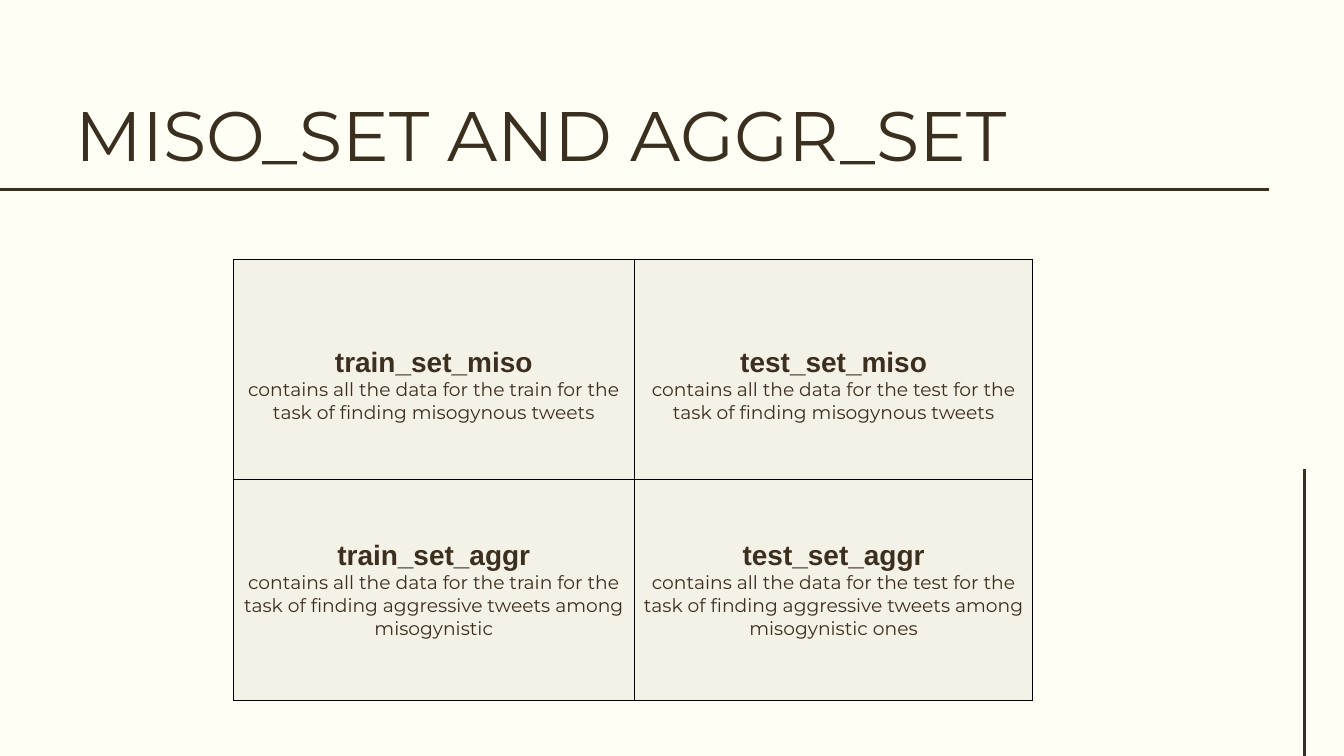
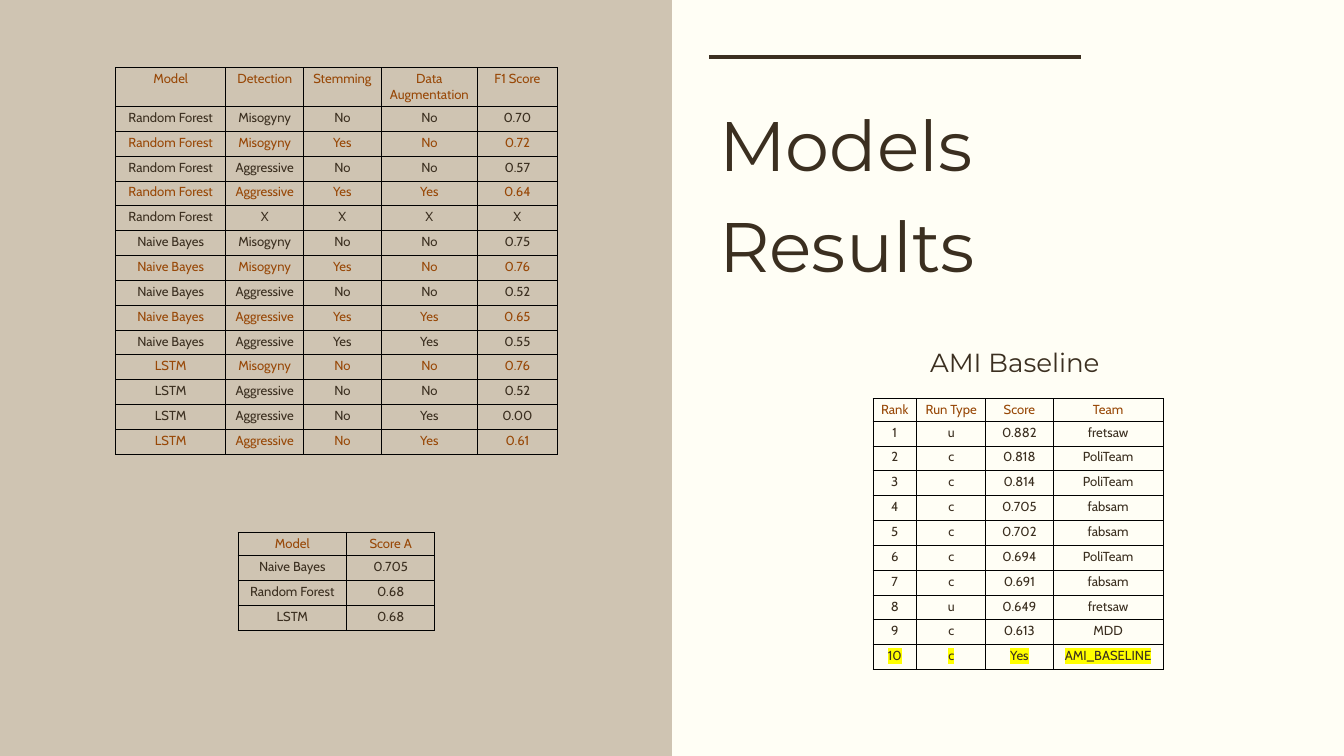
from lxml.etree import SubElement
from pptx import Presentation
from pptx.dml.color import RGBColor
from pptx.enum.shapes import MSO_CONNECTOR, MSO_SHAPE
from pptx.enum.text import MSO_ANCHOR, MSO_AUTO_SIZE, PP_ALIGN
from pptx.oxml.ns import qn
from pptx.util import Inches, Pt

COLORS = {
    "paper": "FFFEF5",
    "ink": "3B2F20",
    "sand": "CFC4B2",
    "accent": "984807",
    "border": "000000",
    "marker": "FFFF00",
}
WIDTH, HEIGHT = 20, 11.25
HEADING_FONT, LABEL_FONT, TABLE_FONT = "Montserrat", "Arial", "Cabin"


def write(paragraph, text, size, font=HEADING_FONT, color="ink", bold=False):
    run = paragraph.add_run()
    run.text = text
    run.font.size = Pt(size)
    run.font.name = font
    run.font.bold = bold
    run.font.color.rgb = RGBColor.from_string(COLORS[color])
    return run


def add_grid(slide, left, top, widths, heights):
    """Add an unfilled table with thin borders around every cell."""
    table = slide.shapes.add_table(
        len(heights), len(widths), Inches(left), Inches(top),
        Inches(sum(widths)), Inches(sum(heights))).table
    table.first_row = table.horz_banding = False
    for column, width in zip(table.columns, widths):
        column.width = Inches(width)
    for row, height in zip(table.rows, heights):
        row.height = Inches(height)
    for cell in table.iter_cells():
        properties = cell._tc.get_or_add_tcPr()
        for side in ("a:lnL", "a:lnR", "a:lnT", "a:lnB"):
            edge = SubElement(properties, qn(side), w=str(Pt(1)))
            fill = SubElement(edge, qn("a:solidFill"))
            SubElement(fill, qn("a:srgbClr"), val=COLORS["border"])
        cell.fill.background()
    return table


prs = Presentation()
prs.slide_width, prs.slide_height = Inches(WIDTH), Inches(HEIGHT)
background = prs.slide_master.background.fill
background.solid()
background.fore_color.rgb = RGBColor.from_string(COLORS["paper"])
title_only = prs.slide_layouts[5]
sets_slide = prs.slides.add_slide(title_only)
results_slide = prs.slides.add_slide(title_only)

# Sand panel on the left half of the results
panel = results_slide.shapes.add_shape(
    MSO_SHAPE.RECTANGLE, 0, 0, Inches(WIDTH / 2), Inches(HEIGHT))
panel.shadow.inherit = False
panel.fill.solid()
panel.fill.fore_color.rgb = RGBColor.from_string(COLORS["sand"])
panel.line.fill.background()

# Titles
for slide, lines, box in (
    (sets_slide, ["MISO_SET AND AGGR_SET"], (1.12, 1.11, 17.75, 1.51)),
    (results_slide, ["Models", "Results"], (10.7, 1.26, 8.48, 3.03)),
):
    title = slide.shapes.title
    title.left, title.top, title.width, title.height = map(Inches, box)
    frame = title.text_frame
    frame.auto_size = MSO_AUTO_SIZE.NONE
    frame.vertical_anchor = MSO_ANCHOR.TOP
    frame.margin_left = frame.margin_right = 0
    frame.margin_top = frame.margin_bottom = 0
    for index, line in enumerate(lines):
        paragraph = frame.add_paragraph() if index else frame.paragraphs[0]
        paragraph.alignment = PP_ALIGN.LEFT
        paragraph.line_spacing = 1.2
        paragraph.space_before = Pt(0)
        write(paragraph, line, 75)

# Rules
for slide, start, end in (
    (sets_slide, (18.88, 2.82), (0, 2.82)),
    (sets_slide, (19.41, HEIGHT), (19.41, 6.98)),
    (results_slide, (16.08, 0.85), (10.55, 0.85)),
):
    rule = slide.shapes.add_connector(
        MSO_CONNECTOR.STRAIGHT, *map(Inches, start + end))
    rule.line.color.rgb = RGBColor.from_string(COLORS["ink"])
    rule.line.width = Pt(3.75)
    SubElement(rule._element.spPr, qn("a:effectLst"))

# The four data sets
DATA_SETS = [
    [("train_set_miso", "contains all the data for the train for the task of "
      "finding misogynous tweets"),
     ("test_set_miso", "contains all the data for the test for the task of "
      "finding misogynous tweets")],
    [("train_set_aggr", "contains all the data for the train for the task of "
      "finding aggressive tweets among misogynistic"),
     ("test_set_aggr", "contains all the data for the test for the task of "
      "finding aggressive tweets among misogynistic ones")],
]
data_sets = add_grid(sets_slide, 3.47, 3.86, [5.97, 5.93], [3.28, 3.28])
for row, (entries, top_margin) in enumerate(zip(DATA_SETS, (0.53, 0.05))):
    for column, (name, description) in enumerate(entries):
        cell = data_sets.cell(row, column)
        cell.vertical_anchor = MSO_ANCHOR.MIDDLE
        cell.margin_top = Inches(top_margin)
        cell.fill.solid()
        cell.fill.fore_color.rgb = RGBColor.from_string(COLORS["sand"])
        tint = cell._tc.tcPr.find(qn("a:solidFill")).find(qn("a:srgbClr"))
        SubElement(tint, qn("a:alpha"), val="22000")
        heading = cell.text_frame.paragraphs[0]
        body = cell.text_frame.add_paragraph()
        heading.alignment = body.alignment = PP_ALIGN.CENTER
        write(heading, name, 30, LABEL_FONT, bold=True)
        write(body, description, 20)

# Result tables
MODEL_RUNS = [
    ("Model", "Detection", "Stemming", "Data Augmentation", "F1 Score"),
    ("Random Forest", "Misogyny", "No", "No", "0.70"),
    ("Random Forest", "Misogyny", "Yes", "No", "0.72"),
    ("Random Forest", "Aggressive", "No", "No", "0.57"),
    ("Random Forest", "Aggressive", "Yes", "Yes", "0.64"),
    ("Random Forest", "X", "X", "X", "X"),
    ("Naive Bayes", "Misogyny", "No", "No", "0.75"),
    ("Naive Bayes", "Misogyny", "Yes", "No", "0.76"),
    ("Naive Bayes", "Aggressive", "No", "No", "0.52"),
    ("Naive Bayes", "Aggressive", "Yes", "Yes", "0.65"),
    ("Naive Bayes", "Aggressive", "Yes", "Yes", "0.55"),
    ("LSTM", "Misogyny", "No", "No", "0.76"),
    ("LSTM", "Aggressive", "No", "No", "0.52"),
    ("LSTM", "Aggressive", "No", "Yes", "0.00"),
    ("LSTM", "Aggressive", "No", "Yes", "0.61"),
]
MODEL_SCORES = [
    ("Model", "Score A"),
    ("Naive Bayes", "0.705"),
    ("Random Forest", "0.68"),
    ("LSTM", "0.68"),
]
RANKING = [
    ("Rank", "Run Type", "Score", "Team"),
    ("1", "u", "0.882", "fretsaw"),
    ("2", "c", "0.818", "PoliTeam"),
    ("3", "c", "0.814", "PoliTeam"),
    ("4", "c", "0.705", "fabsam"),
    ("5", "c", "0.702", "fabsam"),
    ("6", "c", "0.694", "PoliTeam"),
    ("7", "c", "0.691", "fabsam"),
    ("8", "u", "0.649", "fretsaw"),
    ("9", "c", "0.613", "MDD"),
    ("10", "c", "Yes", "AMI_BASELINE"),
]
BEST_RUNS = {2, 4, 7, 9, 11, 14}
for left, top, widths, records, accented, marked in (
    (1.72, 1.01, [1.64, 1.16, 1.15, 1.44, 1.18], MODEL_RUNS, BEST_RUNS, None),
    (3.54, 7.93, [1.62, 1.31], MODEL_SCORES, set(), None),
    (12.99, 5.93, [0.65, 1.03, 1, 1.64], RANKING, set(), len(RANKING) - 1),
):
    heights = [0.24] + [0.37] * (len(records) - 1)
    results = add_grid(results_slide, left, top, widths, heights)
    for row, record in enumerate(records):
        color = "accent" if row == 0 or row in accented else "ink"
        for column, value in enumerate(record):
            paragraph = results.cell(row, column).text_frame.paragraphs[0]
            paragraph.alignment = PP_ALIGN.CENTER
            run = write(paragraph, value, 14, TABLE_FONT, color)
            if row == marked:
                properties = run._r.get_or_add_rPr()
                highlight = SubElement(properties, qn("a:highlight"))
                SubElement(highlight, qn("a:srgbClr"), val=COLORS["marker"])
                properties.find(qn("a:latin")).addprevious(highlight)

# Caption above the ranking
caption = results_slide.shapes.add_textbox(
    Inches(13.84), Inches(5.01), Inches(3.95), Inches(0.61)).text_frame
caption.word_wrap = True
caption.margin_left = caption.margin_right = 0
caption.margin_top = caption.margin_bottom = 0
caption.paragraphs[0].line_spacing = 1.3
write(caption.paragraphs[0], "AMI Baseline", 28)

prs.save("out.pptx")
